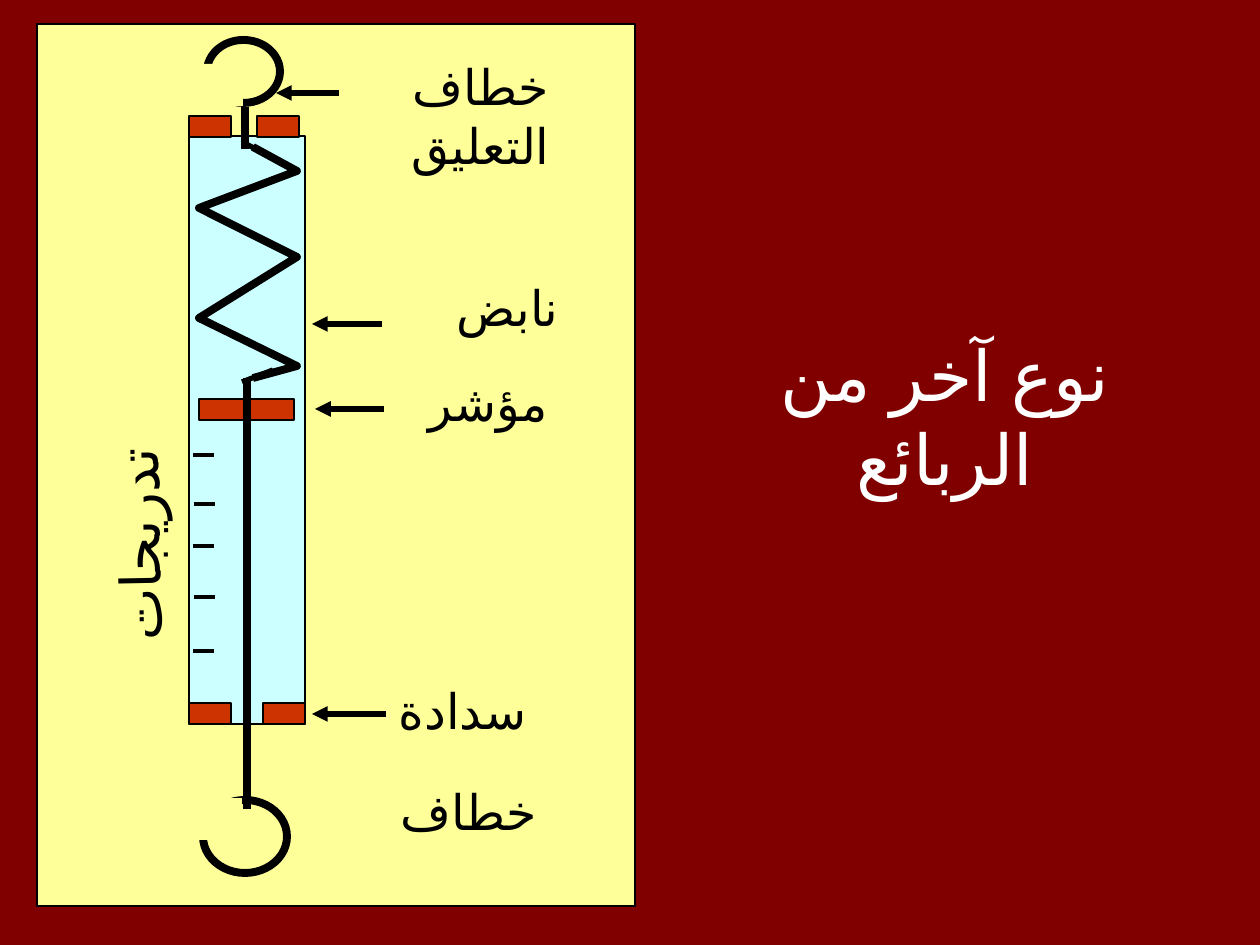
from lxml import etree
from pptx import Presentation
from pptx.dml.color import RGBColor
from pptx.enum.lang import MSO_LANGUAGE_ID
from pptx.enum.shapes import MSO_CONNECTOR, MSO_SHAPE
from pptx.enum.text import MSO_AUTO_SIZE, PP_ALIGN
from pptx.oxml.ns import qn
from pptx.util import Pt

PX = 914400 / 126
RECT, OVAL = MSO_SHAPE.RECTANGLE, MSO_SHAPE.OVAL
STRAIGHT = MSO_CONNECTOR.STRAIGHT
CENTER, RIGHT = PP_ALIGN.CENTER, PP_ALIGN.RIGHT
GROW = MSO_AUTO_SIZE.SHAPE_TO_FIT_TEXT
ARABIC = MSO_LANGUAGE_ID.ARABIC
BLACK, WHITE, CREAM = "000000", "FFFFFF", "FFFF99"
MAROON, GLASS, RUST = "800000", "CCFFFF", "CC3300"


def color(value):
    return RGBColor.from_string(value)


def emu(*lengths):
    return [round(length * PX) for length in lengths]


deck = Presentation()
deck.slide_width, deck.slide_height = emu(1260, 945)
page = deck.slides.add_slide(deck.slide_layouts[6])
page.background.fill.solid()
page.background.fill.fore_color.rgb = color(MAROON)

panel = (RECT, 37, 24, 598, 882, CREAM, 0.75)
tube = (RECT, 189, 136, 116, 588, GLASS, 0.75)
stoppers = [(RECT, x, y, 42, 21, RUST, 0.75)
            for x, y in [(189, 703), (263, 703), (189, 116), (257, 116)]]
pointer = (RECT, 199, 399, 95, 21, RUST, 0.75)
hooks = [(OVAL, 203, 800, 84, 73, None, 4.5), (OVAL, 207, 40, 73, 63, None, 4.5)]
hook_gaps = [(RECT, 179, 798, 63, 42, CREAM, 0), (RECT, 180, 64, 63, 42, CREAM, 0)]

spring_points = [(253, 147), (297, 171), (199, 208), (297, 257),
                 (199, 318), (297, 366), (253, 378)]
builder = page.shapes.build_freeform(*spring_points[0], scale=PX)
builder.add_line_segments(spring_points[1:], close=False)

rods = [(247, 378, 247, 809, 4.5, False), (245, 149, 245, 107, 4.5, False)]
arrows = [(386, 714, 312, 714, 3, True), (382, 324, 312, 324, 3, True),
          (339, 93, 276, 93, 3, True), (384, 409, 315, 409, 3, True)]
ticks = [(x, y, x + 21, y, 2.25, False)
         for x, y in [(193, 455), (194, 504), (193, 546), (194, 597), (193, 651)]]
spring_ends = [(242, 382, 273, 370, 3, False), (242, 142, 262, 152, 3, False)]

drawing = [panel, tube, *stoppers, pointer, "spring", *rods, *hooks, *hook_gaps,
           *arrows, *ticks, *spring_ends]
for item in drawing:
    if item == "spring":
        shape = builder.convert_to_shape()
        fill, width = None, 4.5
    elif len(item) == 7:
        kind, x, y, w, h, fill, width = item
        shape = page.shapes.add_shape(kind, *emu(x, y, w, h))
    else:
        x1, y1, x2, y2, width, arrow = item
        line = page.shapes.add_connector(STRAIGHT, *emu(x1, y1, x2, y2))
        line.line.color.rgb = color(BLACK)
        line.line.width = Pt(width)
        if arrow:
            etree.SubElement(line.line._get_or_add_ln(), qn("a:tailEnd"), type="triangle")
        etree.SubElement(line._element.spPr, qn("a:effectLst"))
        continue
    shape.shadow.inherit = False
    if fill:
        shape.fill.solid()
        shape.fill.fore_color.rgb = color(fill)
    else:
        shape.fill.background()
    if width:
        shape.line.color.rgb = color(BLACK)
        shape.line.width = Pt(width)
    else:
        shape.line.fill.background()

labels = [
    ("نوع آخر من الربائع", 693, 325, 504, 181, CENTER, 40, "Arial", WHITE, 0),
    ("نابض", 382, 271, 189, 72, RIGHT, 28, "Cabin", BLACK, 0),
    ("مؤشر", 392, 366, 168, 72, RIGHT, 28, "Cabin", BLACK, 0),
    ("سدادة", 382, 674, 157, 72, RIGHT, 28, "Cabin", BLACK, 0),
    ("خطاف", 339, 775, 210, 72, RIGHT, 28, "Cabin", BLACK, 0),
    ("خطاف التعليق", 339, 50, 283, 131, CENTER, 28, "Cabin", BLACK, 0),
    ("تدريجات", -40, 504, 357, 81, CENTER, 32, "Cabin", BLACK, 268.8),
]
for words, x, y, w, h, align, size, face, ink, turn in labels:
    box = page.shapes.add_textbox(*emu(x, y, w, h))
    box.rotation = turn
    frame = box.text_frame
    for name, value in {"word_wrap": True, "auto_size": GROW}.items():
        setattr(frame, name, value)
    para = frame.paragraphs[0]
    para.alignment = align
    para._p.get_or_add_pPr().set("rtl", "1")
    span = para.add_run()
    span.text = words
    for name, value in {"size": Pt(size), "name": face, "language_id": ARABIC}.items():
        setattr(span.font, name, value)
    span.font.color.rgb = color(ink)
    etree.SubElement(span._r.get_or_add_rPr(), qn("a:cs"), typeface="Arial")

deck.save("out.pptx")
